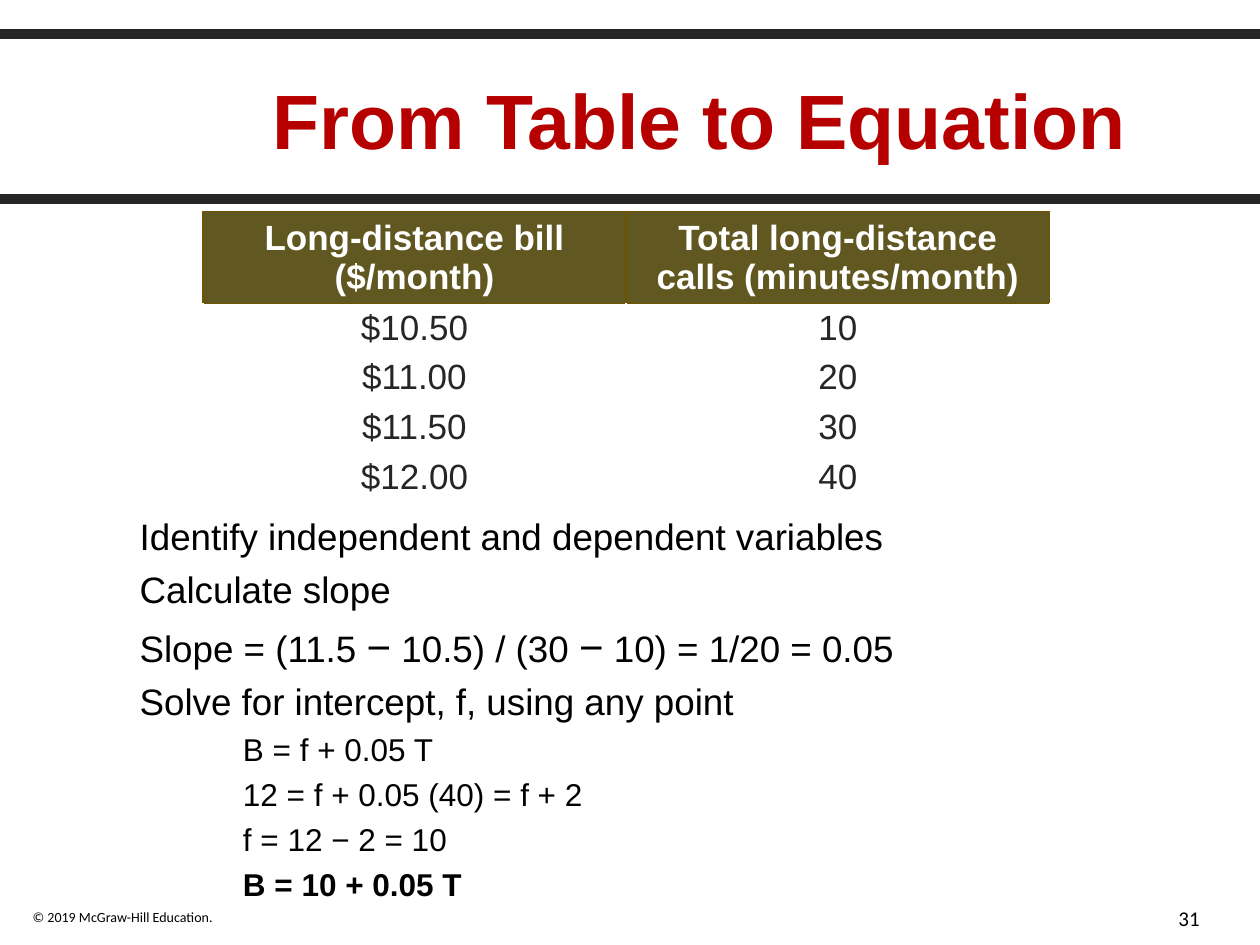
from lxml import etree
from pptx import Presentation
from pptx import util as u
from pptx.dml.color import RGBColor
from pptx.enum import shapes, text
from pptx.oxml.ns import qn

INK, BLACK, WHITE = "262626", "000000", "FFFFFF"
RED, OLIVE, BROWN = "B60000", "615821", "705300"


def color(value):
    return RGBColor.from_string(value)


class SlideBuilder:
    def __init__(self, slide, font="Arial"):
        self.slide = slide
        self.font = font

    def style(self, paragraph, size, ink, bold=False, font=None, align=None):
        paragraph.alignment = align
        face = paragraph.font
        face.name = font or self.font
        face.size = u.Pt(size)
        face.bold = bold
        face.color.rgb = color(ink)

    def rule(self, y):
        line = self.slide.shapes.add_connector(
            shapes.MSO_CONNECTOR.STRAIGHT, 0, u.Inches(y), u.Inches(10), u.Inches(y))
        line.line.color.rgb = color(INK)
        line.line.width = u.Pt(5.5)
        etree.SubElement(line._element.spPr, qn("a:effectLst"))

    def frame(self, box, wrap=True, anchor=text.MSO_ANCHOR.TOP):
        frame = self.slide.shapes.add_textbox(*map(u.Inches, box)).text_frame
        frame.word_wrap = wrap
        frame.vertical_anchor = anchor
        return frame

    def label(self, box, words, size, ink, wrap=True,
              anchor=text.MSO_ANCHOR.TOP, **style):
        paragraph = self.frame(box, wrap, anchor).paragraphs[0]
        paragraph.text = words
        self.style(paragraph, size, ink, **style)

    def steps(self, box, items):
        """Each item is (text, size, indent, space before, bold)."""
        frame = self.frame(box)
        frame.margin_top = u.Inches(0.09)
        for i, (words, size, indent, gap, bold) in enumerate(items):
            paragraph = frame.add_paragraph() if i else frame.paragraphs[0]
            paragraph._p.get_or_add_pPr().set("marL", str(u.Inches(indent)))
            if i:
                paragraph.space_before = u.Pt(gap)
            for part in words if isinstance(words, list) else [words]:
                run = paragraph.add_run()
                run.text = part
                if part == "−":
                    run.font.size = u.Pt(24)
            self.style(paragraph, size, BLACK, bold)

    def borders(self, cell, **sides):
        properties = cell._tc.get_or_add_tcPr()
        for i, side in enumerate("LRTB"):
            line = etree.Element(qn(f"a:ln{side}"), w=str(u.Pt(1)))
            fill = etree.SubElement(line, qn("a:solidFill"))
            etree.SubElement(fill, qn("a:srgbClr"), val=sides[side])
            properties.insert(i, line)

    def table(self, box, rows, heights):
        table = self.slide.shapes.add_table(
            len(rows), len(rows[0]), *map(u.Inches, box)).table
        for r, row in enumerate(rows):
            table.rows[r].height = u.Inches(heights[r])
            header = r == 0
            edge = BROWN if header else WHITE
            for c, words in enumerate(row):
                cell = table.cell(r, c)
                cell.text = words
                cell.vertical_anchor = text.MSO_ANCHOR.MIDDLE
                cell.margin_left = cell.margin_right = u.Inches(0.19)
                cell.margin_top = cell.margin_bottom = u.Inches(0.03)
                if header:
                    cell.fill.solid()
                    cell.fill.fore_color.rgb = color(OLIVE)
                else:
                    cell.fill.background()
                self.borders(cell, L=edge, R=edge, B=edge,
                             T=BROWN if r < 2 else WHITE)
                self.style(cell.text_frame.paragraphs[0], 20,
                           WHITE if header else INK, header,
                           align=text.PP_ALIGN.CENTER)


def main():
    deck = Presentation()
    deck.slide_width, deck.slide_height = u.Inches(10), u.Inches(7.5)
    page = SlideBuilder(deck.slides.add_slide(deck.slide_layouts[6]))

    # Rules and footer
    for y in (1.58, 0.27):
        page.rule(y)
    page.label((0.16, 7.16, 1.65, 0.24), "© 2019 McGraw-Hill Education.", 8,
               BLACK, wrap=False, font="Calibri")
    page.label((8.54, 7.14, 1.08, 0.3), "31", 12, BLACK, font="Calibri",
               align=text.PP_ALIGN.RIGHT)

    # Title
    page.label((1.14, 0.3, 8.83, 1.28), "From Table to Equation", 44, RED,
               anchor=text.MSO_ANCHOR.MIDDLE, bold=True,
               align=text.PP_ALIGN.CENTER)

    # Phone bill table
    bills = [
        ("Long-distance bill ($/month)", "Total long-distance calls (minutes/month)"),
        ("$10.50", "10"),
        ("$11.00", "20"),
        ("$11.50", "30"),
        ("$12.00", "40"),
    ]
    page.table((1.61, 1.68, 6.72, 2.16), bills, [0.68] + [0.37] * 4)

    # Solution steps
    slope = ["Slope = (11.5 ", "−", " 10.5) / (30 ", "−", " 10) = 1/20 = 0.05"]
    algebra = ["B = f + 0.05 T", "12 = f + 0.05 (40) = f + 2",
               "f = 12 − 2 = 10", "B = 10 + 0.05 T"]
    steps = [
        ("Identify independent and dependent variables", 21, 0, 0, False),
        ("Calculate slope", 21, 0, 4.8, False),
        (slope, 21, 0, 5.5, False),
        ("Solve for intercept, f, using any point", 21, 0, 4.8, False),
    ]
    steps += [(line, 18, 0.82, 4.1, line == algebra[-1]) for line in algebra]
    page.steps((1.01, 3.99, 8.49, 3.13), steps)

    deck.save("out.pptx")


if __name__ == "__main__":
    main()
